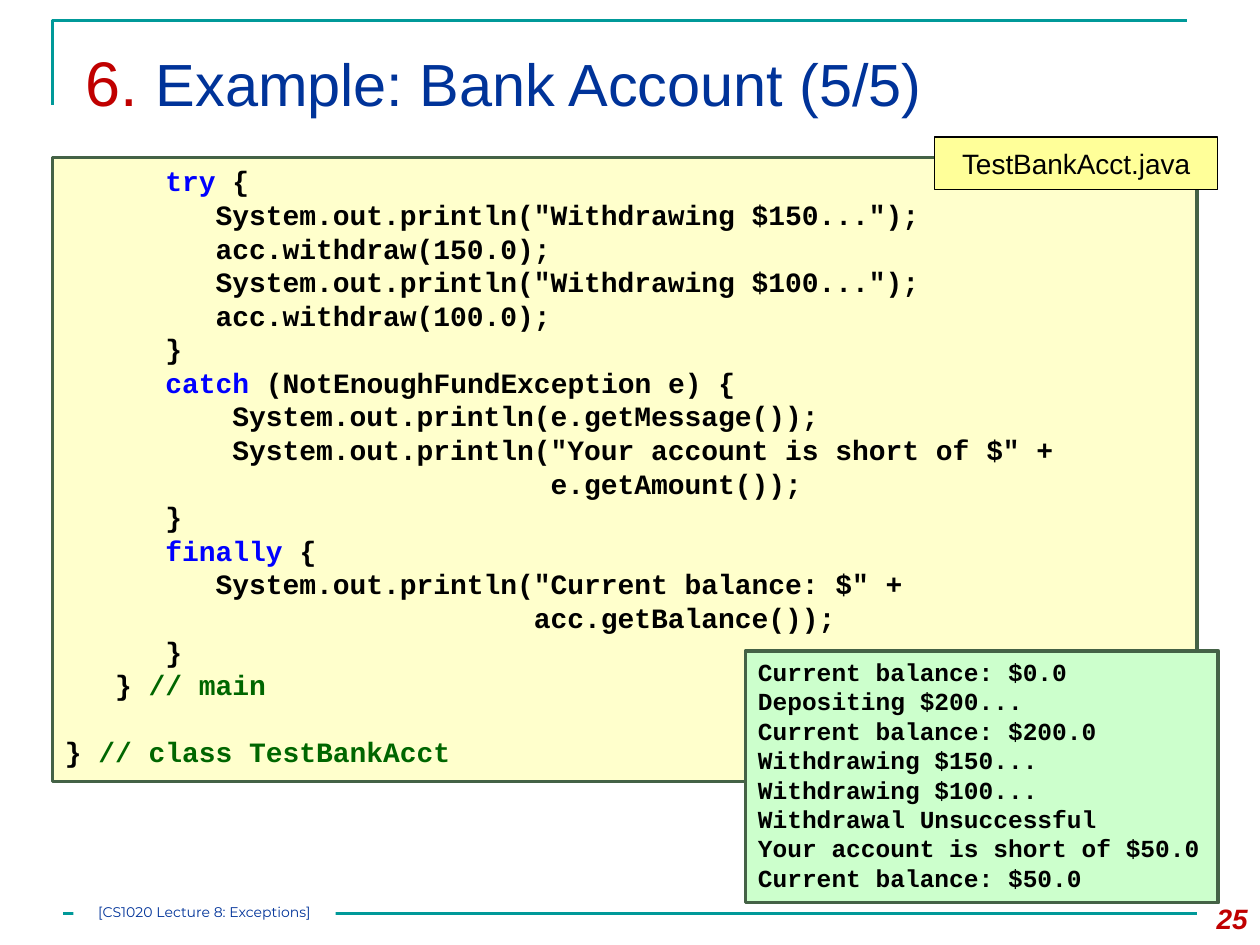
from pptx import Presentation
from pptx.dml.color import RGBColor
from pptx.enum.shapes import MSO_CONNECTOR, MSO_SHAPE
from pptx.enum.text import MSO_ANCHOR, PP_ALIGN
from pptx.oxml.ns import qn
from pptx.util import Cm, Pt
from lxml import etree

RECTANGLE, STRAIGHT = MSO_SHAPE.RECTANGLE, MSO_CONNECTOR.STRAIGHT
TOP, MIDDLE = MSO_ANCHOR.TOP, MSO_ANCHOR.MIDDLE
LEFT, CENTER, RIGHT = PP_ALIGN.LEFT, PP_ALIGN.CENTER, PP_ALIGN.RIGHT

COLORS = {
    "teal": "009999", "navy": "003399", "red": "C00000", "black": "000000",
    "keyword": "0000FF", "comment": "006600", "border": "446246",
    "code": "FFFFCC", "label": "FFFF99", "output": "CCFFCC", "white": "FFFFFF",
}
SANS, MONO, FOOTER_FONT = "Arial", "Courier New", "Montserrat"

# Each line is a list of (text, color) runs
CODE = [
    [("      ", "black"), ("try", "keyword"), (" {", "black")],
    [('         System.out.println("Withdrawing $150...");', "black")],
    [("         acc.withdraw(150.0);", "black")],
    [('         System.out.println("Withdrawing $100...");', "black")],
    [("         acc.withdraw(100.0);", "black")],
    [("      }", "black")],
    [("      ", "black"), ("catch", "keyword"),
     (" (NotEnoughFundException e) {", "black")],
    [("          System.out.println(e.getMessage());", "black")],
    [('          System.out.println("Your account is short of $" +', "black")],
    [("                             e.getAmount());", "black")],
    [("      }", "black")],
    [("      ", "black"), ("finally", "keyword"), (" {", "black")],
    [('         System.out.println("Current balance: $" +', "black")],
    [("                            acc.getBalance());", "black")],
    [("      }", "black")],
    [("   } ", "black"), ("// main", "comment")],
    [("} ", "black"), ("// class TestBankAcct", "comment")],
]
OUTPUT = [
    "Current balance: $0.0",
    "Depositing $200...",
    "Current balance: $200.0",
    "Withdrawing $150...",
    "Withdrawing $100...",
    "Withdrawal Unsuccessful",
    "Your account is short of $50.0",
    "Current balance: $50.0",
]


def rgb(name):
    return RGBColor.from_string(COLORS[name])


def write_lines(frame, lines, size, font, bold=False, align=LEFT, anchor=TOP):
    """Fill a text frame with lines of (text, color) runs."""
    frame.word_wrap = True
    frame.vertical_anchor = anchor
    for number, line in enumerate(lines):
        paragraph = frame.add_paragraph() if number else frame.paragraphs[0]
        paragraph.alignment = align
        for text, color in line:
            run = paragraph.add_run()
            run.text = text
            run.font.name, run.font.size = font, Pt(size)
            run.font.bold = bold
            run.font.color.rgb = rgb(color)


def add_panel(slide, box, fill, border=None, width=2):
    panel = slide.shapes.add_shape(RECTANGLE, *map(Cm, box))
    panel.shadow.inherit = False
    panel.fill.solid()
    panel.fill.fore_color.rgb = rgb(fill)
    if border:
        panel.line.color.rgb = rgb(border)
        panel.line.width = Pt(width)
    else:
        panel.line.fill.background()
    return panel.text_frame


def add_header(slide, box):
    left, top, width, height = box
    # Corner line
    builder = slide.shapes.build_freeform(Cm(left), Cm(top + height))
    builder.add_line_segments(
        [(Cm(left), Cm(top)), (Cm(left + width), Cm(top))], close=False)
    corner = builder.convert_to_shape()
    corner.shadow.inherit = False
    corner.fill.background()
    corner.line.color.rgb = rgb("teal")
    corner.line.width = Pt(1.5)
    # Title
    title = slide.shapes.add_textbox(
        Cm(left + 0.42), Cm(top + 0.22), Cm(width + 0.42), Cm(2.18)).text_frame
    title.margin_bottom = Cm(0.3)
    write_lines(title, [[("6. ", "red"), ("Example: Bank Account (5/5)", "navy")]],
                34, SANS, anchor=MIDDLE)
    title.paragraphs[0].runs[0].font.size = Pt(36)


def add_code(slide, box):
    left, top, width, _ = box
    # Listing, with a one-line gap before the end of the class
    listing = add_panel(slide, box, "code", "border")
    write_lines(listing, CODE, 16, MONO, bold=True)
    listing.paragraphs[-1].space_before = Pt(19.2)
    # File name
    label = add_panel(slide, (left + width - 5.29, top - 0.42, 5.71, 1.06),
                      "label", "black", 0.75)
    write_lines(label, [[("TestBankAcct.java", "black")]], 16, SANS,
                align=CENTER, anchor=MIDDLE)


def add_output(slide, box):
    output = add_panel(slide, box, "output", "border")
    write_lines(output, [[(line, "black")] for line in OUTPUT], 14, MONO, bold=True)


def add_footer(slide, box):
    left, top, width, _ = box
    # Rule
    rule_y = Cm(top + 0.38)
    rule = slide.shapes.add_connector(
        STRAIGHT, Cm(left), rule_y, Cm(left + width), rule_y)
    rule.line.color.rgb = rgb("teal")
    rule.line.width = Pt(1.5)
    etree.SubElement(rule._element.spPr, qn("a:effectLst"))
    # Lecture name, interrupting the rule
    lecture = add_panel(slide, (left + 0.21, top + 0.17, 5.29, 0.42), "white")
    lecture.margin_left = lecture.margin_right = 0
    lecture.margin_top = lecture.margin_bottom = 0
    write_lines(lecture, [[("[CS1020 Lecture 8: Exceptions]", "navy")]],
                8, FOOTER_FONT, align=CENTER)
    # Page number
    page = slide.shapes.add_textbox(
        Cm(left + width - 0.42), Cm(top), Cm(1.69), Cm(1.02)).text_frame
    write_lines(page, [[("25", "red")]], 16, SANS, bold=True, align=RIGHT)
    page.paragraphs[0].runs[0].font.italic = True


def main():
    deck = Presentation()
    deck.slide_width, deck.slide_height = Cm(25.4), Cm(19.05)
    slide = deck.slides.add_slide(deck.slide_layouts[6])
    add_header(slide, (1.06, 0.42, 22.86, 1.69))
    add_code(slide, (1.06, 3.18, 23.07, 12.58))
    add_output(slide, (15.03, 13.12, 9.53, 5.08))
    add_footer(slide, (1.27, 18.04, 22.86, 1.02))
    deck.save("out.pptx")


if __name__ == "__main__":
    main()
